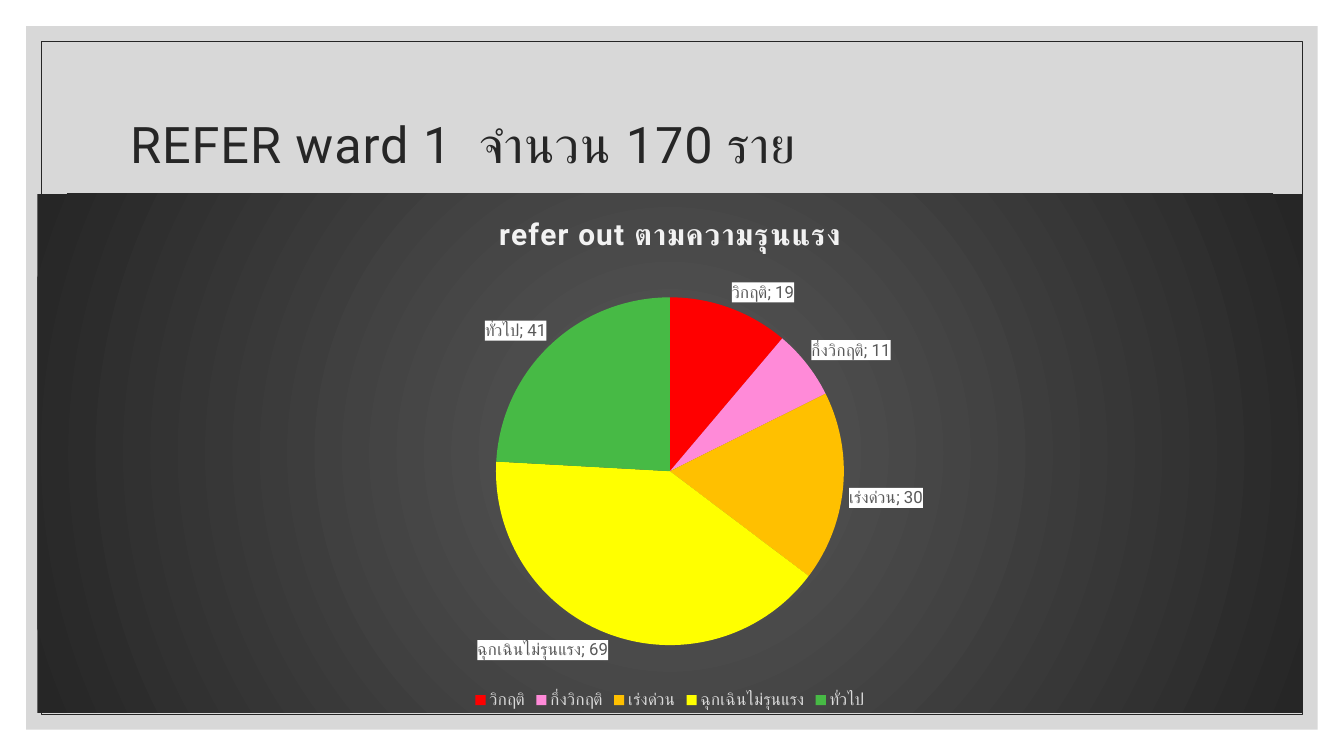
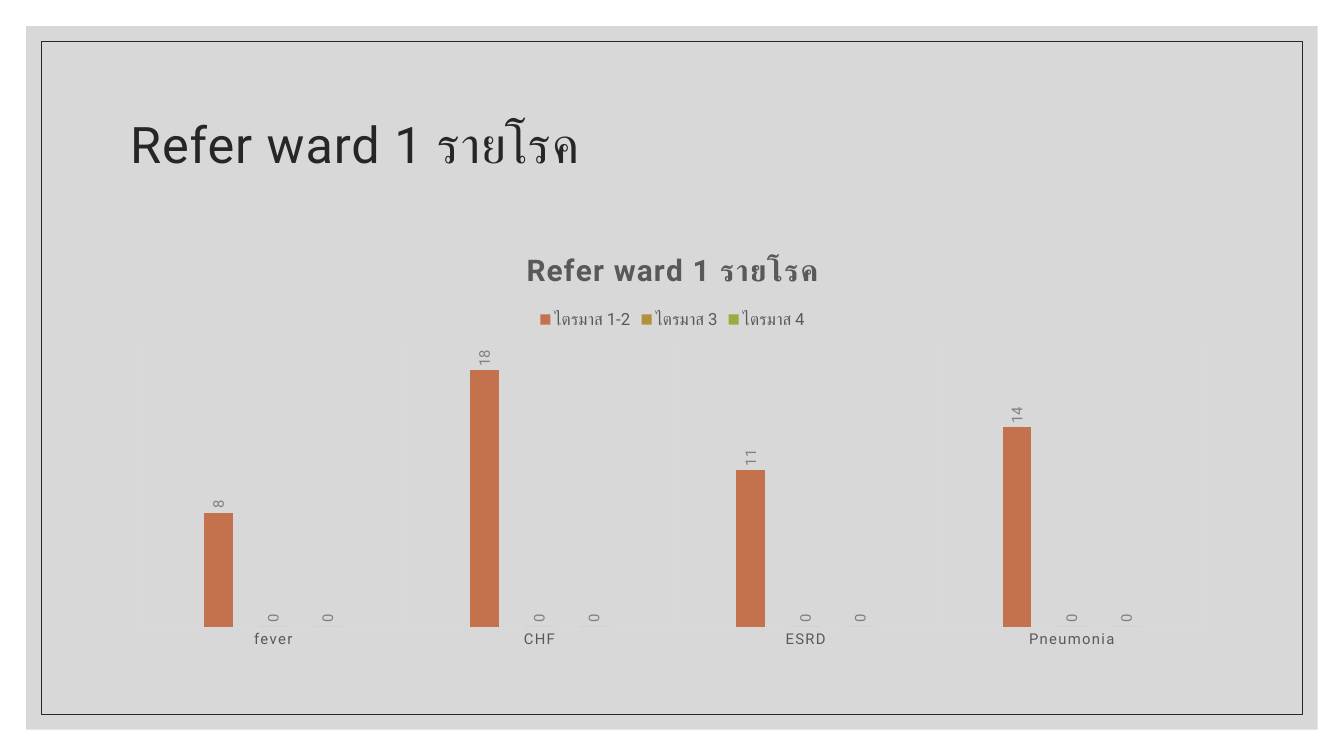
"""Builds two slides of ward referral charts."""
from lxml import etree
from pptx import Presentation
from pptx.chart.data import CategoryChartData
from pptx.dml.color import RGBColor
from pptx.enum.chart import XL_CHART_TYPE as ChartType
from pptx.enum.chart import XL_LABEL_POSITION as LabelPosition
from pptx.enum.chart import XL_LEGEND_POSITION as LegendPosition
from pptx.enum.chart import XL_TICK_MARK as TickMark
from pptx.enum.shapes import MSO_SHAPE as Preset
from pptx.enum.text import MSO_ANCHOR as Anchor
from pptx.enum.text import MSO_AUTO_SIZE as AutoSize
from pptx.enum.text import PP_ALIGN as Align
from pptx.oxml import parse_xml
from pptx.oxml.ns import nsdecls, qn
from pptx.util import Inches, Pt

WIDTH, HEIGHT = 13.33, 7.5
FONT = "Roboto"
INK, GRAY, MUTED, RULE = "262626", "595959", "808080", "D9D9D9"
PANEL, PANEL_ALPHA = "BFBFBF", 60
PANEL_MARGIN, FRAME_MARGIN = 0.26, 0.41
TITLE_BOX = (1.17, 0.7, 11, 1.5)

SEVERITY = {
    "heading": "REFER ward 1  จำนวน 170 ราย",
    "title": "refer out ตามความรุนแรง",
    "box": (0.37, 1.92, 12.55, 5.15),
    "plot": {"x": 0.36, "y": 0.2, "w": 0.28, "h": 0.67},
    "slices": [
        ("วิกฤติ", 19, "FF0000"),
        ("กึ่งวิกฤติ", 11, "FF8AD8"),
        ("เร่งด่วน", 30, "FFC000"),
        ("ฉุกเฉินไม่รุนแรง", 69, "FFFF00"),
        ("ทั่วไป", 41, "47BA45"),
    ],
}
DISEASES = {
    "heading": "Refer ward 1 รายโรค",
    "title": "Refer ward 1 รายโรค",
    "box": (1.17, 2.3, 11, 4.21),
    "categories": ["fever", "CHF", "ESRD", "Pneumonia"],
    "series": [
        ("ไตรมาส 1-2", [8, 18, 11, 14], "C3724D"),
        ("ไตรมาส 3", [0, 0, 0, 0], "B1923B"),
        ("ไตรมาส 4", [0, 0, 0, 0], "9BAB43"),
    ],
}


def rgb(value):
    return RGBColor.from_string(value)


def inches(box):
    return [Inches(length) for length in box]


def paint(fill, color):
    fill.solid()
    fill.fore_color.rgb = rgb(color)


def style(font, size, color, bold=False):
    font.name, font.size, font.bold = FONT, Pt(size), bold
    font.color.rgb = rgb(color)


def add_rectangle(slide, margin):
    box = (margin, margin, WIDTH - 2 * margin, HEIGHT - 2 * margin)
    shape = slide.shapes.add_shape(Preset.RECTANGLE, *inches(box))
    shape.shadow.inherit = False
    return shape


def add_backdrop(slide):
    panel = add_rectangle(slide, PANEL_MARGIN)
    paint(panel.fill, PANEL)
    panel.line.fill.background()
    color = panel._element.spPr.find(".//" + qn("a:srgbClr"))
    etree.SubElement(color, qn("a:alpha")).set("val", str(PANEL_ALPHA * 1000))
    frame = add_rectangle(slide, FRAME_MARGIN)
    frame.fill.background()
    frame.line.color.rgb = rgb(INK)
    frame.line.width = Pt(0.5)
    tree = slide.slide_layout.shapes._spTree
    for position, shape in enumerate((panel, frame), start=2):
        tree.insert(position, shape._element)


def add_slide(presentation, heading):
    slide = presentation.slides.add_slide(presentation.slide_layouts[5])
    title = slide.shapes.title
    title.left, title.top, title.width, title.height = inches(TITLE_BOX)
    frame = title.text_frame
    frame.word_wrap, frame.auto_size = True, AutoSize.NONE
    frame.vertical_anchor = Anchor.MIDDLE
    frame.margin_left = frame.margin_right = frame.margin_top = Inches(0.12)
    frame.margin_bottom = Inches(0.1)
    paragraph = frame.paragraphs[0]
    paragraph.alignment, paragraph.line_spacing = Align.LEFT, 0.9
    run = paragraph.add_run()
    run.text = heading
    style(run.font, 36, INK)
    run.font._element.set("spc", "70")
    return slide


def add_chart(slide, kind, content, data, title_color, legend_color, legend_position):
    chart = slide.shapes.add_chart(kind, *inches(content["box"]), data).chart
    style(chart.font, 10, "000000")
    chart.has_title = True
    run = chart.chart_title.text_frame.paragraphs[0].add_run()
    run.text = content["title"]
    style(run.font, 21.3, title_color, bold=True)
    run.font._element.set("spc", "100")
    chart.has_legend = True
    chart.legend.position = legend_position
    chart.legend.include_in_layout = False
    style(chart.legend.font, 12, legend_color)
    return chart


def add_labels(series, size, color):
    labels = series.data_labels
    labels.show_value = True
    labels.position = LabelPosition.OUTSIDE_END
    style(labels.font, size, color)
    return labels


def set_radial_fill(chart, inner, outer):
    chart._chartSpace.find(qn("c:chart")).addnext(parse_xml(
        f'<c:spPr {nsdecls("c", "a")}><a:gradFill><a:gsLst>'
        f'<a:gs pos="0"><a:srgbClr val="{inner}"/></a:gs>'
        f'<a:gs pos="100000"><a:srgbClr val="{outer}"/></a:gs></a:gsLst>'
        '<a:path path="circle"><a:fillToRect l="50000" t="50000" r="50000" b="50000"/>'
        '</a:path></a:gradFill><a:ln><a:noFill/></a:ln></c:spPr>'))


def set_plot_layout(chart, shares):
    area = chart._chartSpace.find(".//" + qn("c:plotArea"))
    for layout in area.findall(qn("c:layout")):
        area.remove(layout)
    sizes = "".join(f'<c:{key} val="{share}"/>' for key, share in shares.items())
    area.insert(0, parse_xml(
        f'<c:layout {nsdecls("c")}><c:manualLayout><c:layoutTarget val="inner"/>'
        f'<c:xMode val="edge"/><c:yMode val="edge"/>{sizes}</c:manualLayout></c:layout>'))


def add_severity_pie(slide, content):
    names, values, colors = zip(*content["slices"])
    data = CategoryChartData()
    data.categories = names
    data.add_series(content["title"], values)
    chart = add_chart(slide, ChartType.PIE, content, data, "F2F2F2", RULE, LegendPosition.BOTTOM)
    set_radial_fill(chart, GRAY, INK)
    set_plot_layout(chart, content["plot"])
    chart.plots[0].vary_by_categories = True
    series = chart.plots[0].series[0]
    for index, color in enumerate(colors):
        paint(series.points[index].format.fill, color)
    labels = add_labels(series, 12, GRAY)
    labels.show_category_name = True
    element = labels._element
    element.find(qn("c:txPr")).addprevious(parse_xml(
        f'<c:spPr {nsdecls("c", "a")}><a:solidFill><a:srgbClr val="FFFFFF"/>'
        '</a:solidFill></c:spPr>'))
    element.find(qn("c:showBubbleSize")).addnext(
        parse_xml(f'<c:separator {nsdecls("c")}>; </c:separator>'))


def add_disease_columns(slide, content):
    data = CategoryChartData()
    data.categories = content["categories"]
    for name, values, _ in content["series"]:
        data.add_series(name, values)
    chart = add_chart(slide, ChartType.COLUMN_CLUSTERED, content, data, GRAY, GRAY,
                      LegendPosition.TOP)
    plot = chart.plots[0]
    plot.vary_by_categories, plot.gap_width, plot.overlap = False, 444, -90
    for series, (_, _, color) in zip(plot.series, content["series"]):
        paint(series.format.fill, color)
        labels = add_labels(series, 10.6, MUTED)
        body = labels._element.find(".//" + qn("a:bodyPr"))
        body.set("rot", "-5400000")
        body.set("vert", "horz")
    chart.value_axis.has_major_gridlines = False
    chart.value_axis.visible = False
    axis = chart.category_axis
    axis.major_tick_mark = axis.minor_tick_mark = TickMark.NONE
    axis.has_major_gridlines = True
    for line in (axis.format.line, axis.major_gridlines.format.line):
        line.color.rgb = rgb(RULE)
        line.width = Pt(0.75)
    font = axis.tick_labels.font
    style(font, 10.6, GRAY)
    font._element.set("spc", "100")


def main():
    presentation = Presentation()
    presentation.slide_width, presentation.slide_height = inches((WIDTH, HEIGHT))
    severity_slide = add_slide(presentation, SEVERITY["heading"])
    add_backdrop(severity_slide)
    add_severity_pie(severity_slide, SEVERITY)
    add_disease_columns(add_slide(presentation, DISEASES["heading"]), DISEASES)
    presentation.save("out.pptx")


if __name__ == "__main__":
    main()
